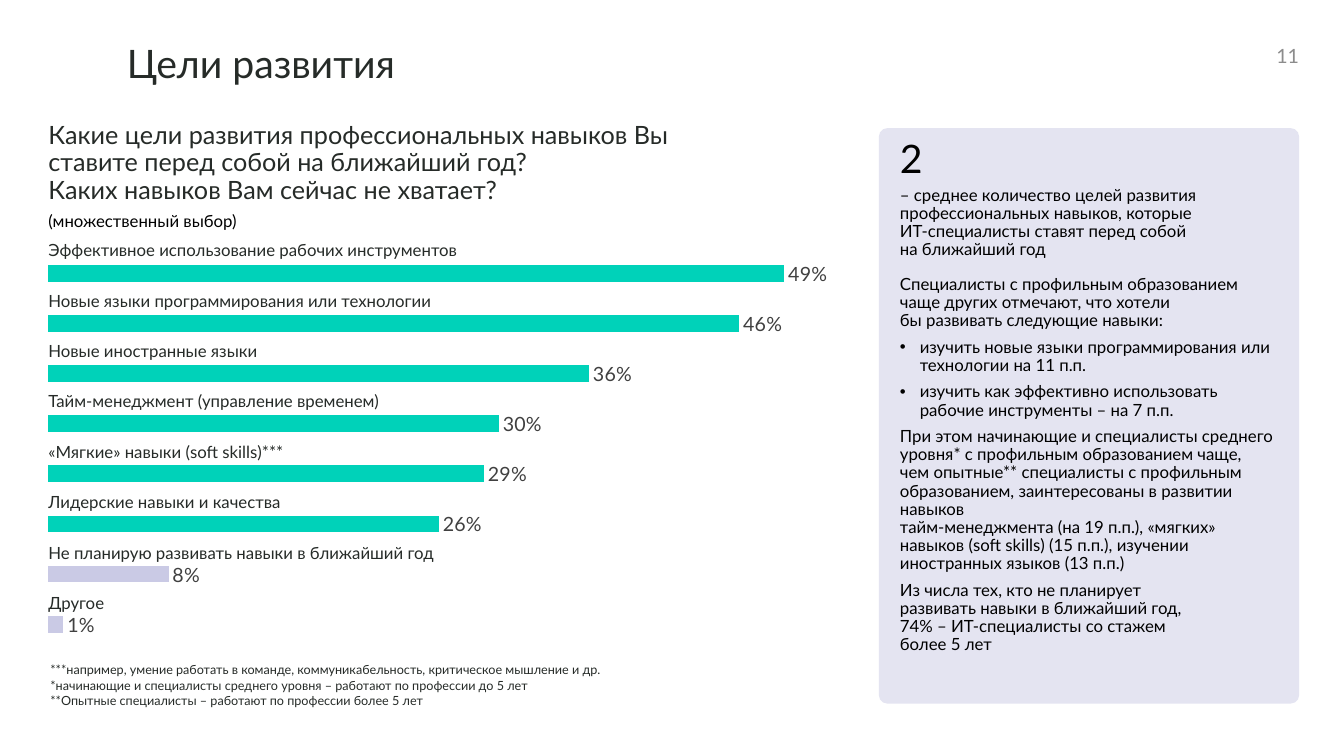
from copy import deepcopy

from lxml.etree import SubElement
from pptx import Presentation
from pptx.chart.data import CategoryChartData
from pptx.dml.color import RGBColor
from pptx.enum.chart import XL_CHART_TYPE, XL_LABEL_POSITION
from pptx.enum.shapes import MSO_SHAPE
from pptx.enum.text import MSO_ANCHOR, PP_ALIGN
from pptx.oxml import parse_xml
from pptx.oxml.ns import nsdecls, qn
from pptx.util import Cm, Pt

INK = RGBColor(0x26, 0x2B, 0x28)
BLACK = RGBColor(0, 0, 0)
GREY = RGBColor(0x8C, 0x8C, 0x8C)
VALUE_GREY = RGBColor(0x40, 0x40, 0x40)
TEAL = RGBColor(0x00, 0xD2, 0xB9)
LILAC = RGBColor(0xCA, 0xCA, 0xE5)
FONT = "Lato"

TITLE = "Цели развития"
PAGE = "11"
QUESTION = [
    "Какие цели развития профессиональных навыков Вы ставите перед собой на ближайший год?",
    "Каких навыков Вам сейчас не хватает?",
]
HINT = "(множественный выбор)"
GOALS = [
    ("Эффективное использование рабочих инструментов", 0.49, TEAL),
    ("Новые языки программирования или технологии", 0.46, TEAL),
    ("Новые иностранные языки", 0.36, TEAL),
    ("Тайм-менеджмент (управление временем)", 0.30, TEAL),
    ("«Мягкие» навыки (soft skills)***", 0.29, TEAL),
    ("Лидерские навыки и качества", 0.26, TEAL),
    ("Не планирую развивать навыки в ближайший год", 0.08, LILAC),
    ("Другое", 0.01, LILAC),
]
FINDINGS = [
    ("2", dict(size=28, after=3)),
    ("– среднее количество целей развития профессиональных навыков, которые\n"
     "ИТ-специалисты ставят перед собой\nна ближайший год", dict(after=12)),
    ("Специалисты с профильным образованием чаще других отмечают, что хотели\n"
     "бы развивать следующие навыки:", {}),
    ("изучить новые языки программирования или технологии на 11 п.п.", dict(bullet=True)),
    ("изучить как эффективно использовать рабочие инструменты – на 7 п.п.", dict(bullet=True)),
    ("При этом начинающие и специалисты среднего уровня* с профильным образованием чаще, "
     "чем опытные** специалисты с профильным образованием, заинтересованы в развитии навыков\n"
     "тайм-менеджмента (на 19 п.п.), «мягких» навыков (soft skills) (15 п.п.), "
     "изучении иностранных языков (13 п.п.)", {}),
    ("Из числа тех, кто не планирует\nразвивать навыки в ближайший год,\n"
     "74% – ИТ-специалисты со стажем\nболее 5 лет", {}),
]
FOOTNOTES = [
    "***например, умение работать в команде, коммуникабельность, критическое мышление и др.",
    "*начинающие и специалисты среднего уровня – работают по профессии до 5 лет",
    "**Опытные специалисты – работают по профессии более 5 лет",
]

LEFT = 1.22
LABEL_TOP, LABEL_STEP = 6.1, 1.27


def write(p, text, size=12, color=INK, spacing=0.9, after=0, align=None, bullet=False):
    p.text = text
    p.line_spacing = spacing
    p.space_after = Pt(after)
    if align is not None:
        p.alignment = align
    if bullet:
        pPr = p._p.get_or_add_pPr()
        pPr.set("marL", str(Cm(0.5)))
        pPr.set("indent", str(-Cm(0.5)))
        SubElement(pPr, qn("a:buFont")).set("typeface", "Arial")
        SubElement(pPr, qn("a:buChar")).set("char", "•")
    for r in p.runs:
        r.font.size = Pt(size)
        r.font.name = FONT
        r.font.color.rgb = color
    for br in p._p.findall(qn("a:br")):
        br.append(deepcopy(p.runs[0]._r.rPr))


def add_text(items, left, top, width, height, anchor=MSO_ANCHOR.TOP, **fmt):
    box = s.shapes.add_textbox(Cm(left), Cm(top), Cm(width), Cm(height))
    tf = box.text_frame
    tf.word_wrap = True
    tf.vertical_anchor = anchor
    tf.margin_left = tf.margin_top = tf.margin_right = tf.margin_bottom = 0
    for i, item in enumerate(items):
        text, own = item if isinstance(item, tuple) else (item, {})
        p = tf.add_paragraph() if i else tf.paragraphs[0]
        write(p, text, **{**fmt, **own})


def add_panel(left, top, width, height):
    sp = s.shapes.add_shape(MSO_SHAPE.ROUNDED_RECTANGLE, Cm(left), Cm(top), Cm(width), Cm(height))
    sp.adjustments[0] = 0.02
    sp.shadow.inherit = False
    sp.fill.solid()
    sp.fill.fore_color.rgb = LILAC
    sp.line.fill.background()
    color = sp._element.spPr.find(qn("a:solidFill"))[0]
    SubElement(color, qn("a:alpha")).set("val", "50000")


def add_bars(left, top, width, height):
    rows = GOALS[::-1]
    data = CategoryChartData(number_format="0%")
    data.categories = [name for name, _, _ in rows]
    data.add_series("Доля ответов", [share for _, share, _ in rows])
    chart = s.shapes.add_chart(XL_CHART_TYPE.BAR_CLUSTERED, Cm(left), Cm(top),
                               Cm(width), Cm(height), data).chart
    chart.has_legend = False
    chart.has_title = False
    chart.font.name = FONT
    chart.font.size = Pt(14)
    for axis in (chart.category_axis, chart.value_axis):
        axis.has_major_gridlines = False
        axis.visible = False
    chart.value_axis.minimum_scale = 0
    chart.value_axis.maximum_scale = 0.6

    plot = chart.plots[0]
    plot.gap_width = 200
    plot.vary_by_categories = False
    series = plot.series[0]
    series.format.fill.solid()
    series.format.fill.fore_color.rgb = TEAL
    for i, (_, _, color) in enumerate(rows):
        if color != TEAL:
            fill = series.points[i].format.fill
            fill.solid()
            fill.fore_color.rgb = color
    labels = series.data_labels
    labels.show_value = True
    labels.position = XL_LABEL_POSITION.OUTSIDE_END
    labels.number_format = "0%"
    labels.number_format_is_linked = False
    labels.font.name = FONT
    labels.font.size = Pt(14)
    labels.font.color.rgb = VALUE_GREY

    area = chart._chartSpace.chart.plotArea
    for old in area.findall(qn("c:layout")):
        area.remove(old)
    area.insert(0, parse_xml(
        f'<c:layout {nsdecls("c")}><c:manualLayout><c:layoutTarget val="inner"/>'
        '<c:xMode val="edge"/><c:yMode val="edge"/><c:x val="0"/><c:y val="0.041"/>'
        '<c:w val="1"/><c:h val="0.955"/></c:manualLayout></c:layout>'))


prs = Presentation()
prs.slide_width, prs.slide_height = Cm(33.87), Cm(19.05)
s = prs.slides.add_slide(prs.slide_layouts[6])

add_text([TITLE], 3.2, 1.12, 22.02, 1.07, size=28)
add_text(QUESTION, LEFT, 3.1, 16, 2.06, size=18)
add_text([HINT], LEFT, 5.36, 7.26, 0.46, color=BLACK)
add_panel(22.15, 3.23, 10.59, 14.5)
add_text(FINDINGS, 22.68, 3.53, 9.45, 12.95, color=BLACK, after=6)
add_bars(LEFT, 5.82, 22.71, 10.59)
for i, (name, _, _) in enumerate(GOALS):
    add_text([name], LEFT, LABEL_TOP + i * LABEL_STEP, 14.3, 0.46)
add_text(FOOTNOTES, 1.27, 16.69, 16, 1.14, size=9, spacing=1.0)
add_text([PAGE], 31.32, 1.07, 1.42, 0.69, anchor=MSO_ANCHOR.MIDDLE,
         size=14, color=GREY, spacing=1.0, align=PP_ALIGN.RIGHT)

prs.save("out.pptx")
